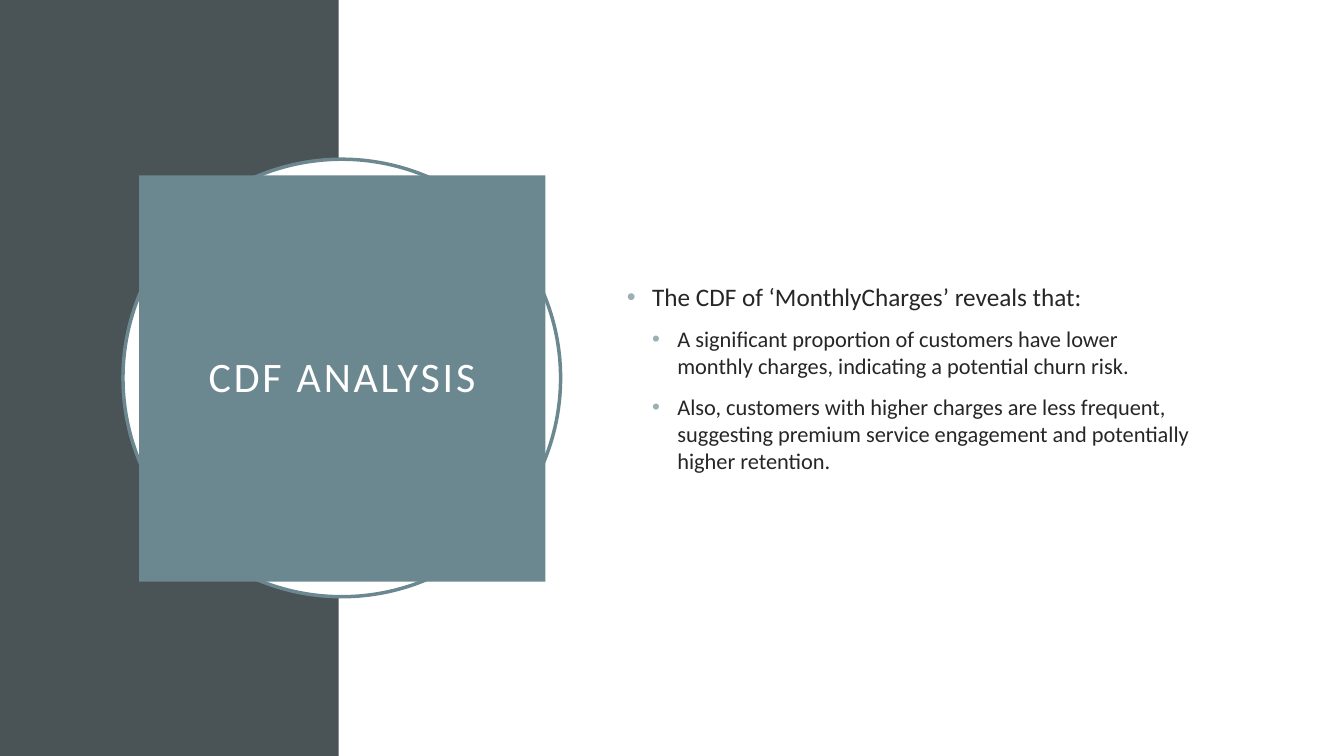
"""Build the CDF analysis slide."""
from dataclasses import dataclass
from typing import Optional

from lxml.etree import SubElement as Sub
from pptx import Presentation
from pptx.dml.color import RGBColor as Rgb
from pptx.enum.shapes import MSO_SHAPE as Kind
from pptx.enum.text import MSO_ANCHOR as Anchor, PP_ALIGN as Align
from pptx.oxml.ns import qn
from pptx.util import Inches, Pt

INK = {"slate": "4A5356", "teal": "6B8891", "mist": "9BAFB5",
       "white": "FFFFFF", "text": "262626"}
FONT = "Calibri"
STEP = 0.25


@dataclass
class Block:
    kind: Kind
    left: float
    top: float
    width: float
    height: float
    fill: str
    line: Optional[str] = None


@dataclass
class Point:
    text: str
    size: int
    level: int


BLOCKS = [
    Block(Kind.RECTANGLE, 0, 0, 3.36, 7.5, "slate"),
    Block(Kind.OVAL, 1.22, 1.58, 4.34, 4.34, "white", "teal"),
    Block(Kind.RECTANGLE, 1.38, 1.74, 4.03, 4.03, "teal"),
]
POINTS = [
    Point("The CDF of ‘MonthlyCharges’ reveals that:", 18, 0),
    Point("A significant proportion of customers have lower monthly charges, "
          "indicating a potential churn risk.", 16, 1),
    Point("Also, customers with higher charges are less frequent, suggesting "
          "premium service engagement and potentially higher retention.", 16, 1),
]


def draw(slide, block: Block):
    shape = slide.shapes.add_shape(
        block.kind, Inches(block.left), Inches(block.top),
        Inches(block.width), Inches(block.height))
    shape.shadow.inherit = False
    shape.fill.solid()
    shape.fill.fore_color.rgb = Rgb.from_string(INK[block.fill])
    if block.line:
        shape.line.color.rgb = Rgb.from_string(INK[block.line])
        shape.line.width = Pt(2.5)
    else:
        shape.line.fill.background()
    return shape


def write(para, text: str, size: int, color: str):
    run = para.add_run()
    run.text = text
    run.font.name = FONT
    run.font.size = Pt(size)
    run.font.color.rgb = Rgb.from_string(INK[color])
    return run


def label(shape, text: str) -> None:
    frame = shape.text_frame
    frame.word_wrap = True
    frame.vertical_anchor = Anchor.MIDDLE
    frame.margin_left = frame.margin_right = Inches(0.2)
    frame.margin_top = frame.margin_bottom = Inches(0.2)
    para = frame.paragraphs[0]
    para.alignment = Align.CENTER
    para.line_spacing = 0.9
    run = write(para, text, 30, "white")
    run.font._element.set("spc", "200")


def bullet(para, level: int) -> None:
    para.level = level
    para.space_before = Pt(10)
    props = para._p.get_or_add_pPr()
    props.set("marL", str(Inches(STEP * (level + 1))))
    props.set("indent", str(-Inches(STEP)))
    color = Sub(props, qn("a:buClr"))
    Sub(color, qn("a:srgbClr"), val=INK["mist"])
    Sub(props, qn("a:buFont"), typeface="Arial")
    Sub(props, qn("a:buChar"), char="•")


def detail(slide, points: list[Point]) -> None:
    box = slide.shapes.add_textbox(
        Inches(6.12), Inches(1.53), Inches(5.82), Inches(4.43))
    frame = box.text_frame
    frame.word_wrap = True
    frame.vertical_anchor = Anchor.MIDDLE
    for rank, point in enumerate(points):
        para = frame.add_paragraph() if rank else frame.paragraphs[0]
        bullet(para, point.level)
        write(para, point.text, point.size, "text")


def main() -> None:
    deck = Presentation()
    deck.slide_width, deck.slide_height = Inches(13.33), Inches(7.5)
    slide = deck.slides.add_slide(deck.slide_layouts[6])
    band, ring, panel = [draw(slide, block) for block in BLOCKS]
    label(panel, "CDF ANALYSIS")
    detail(slide, POINTS)
    deck.save("out.pptx")


if __name__ == "__main__":
    main()
